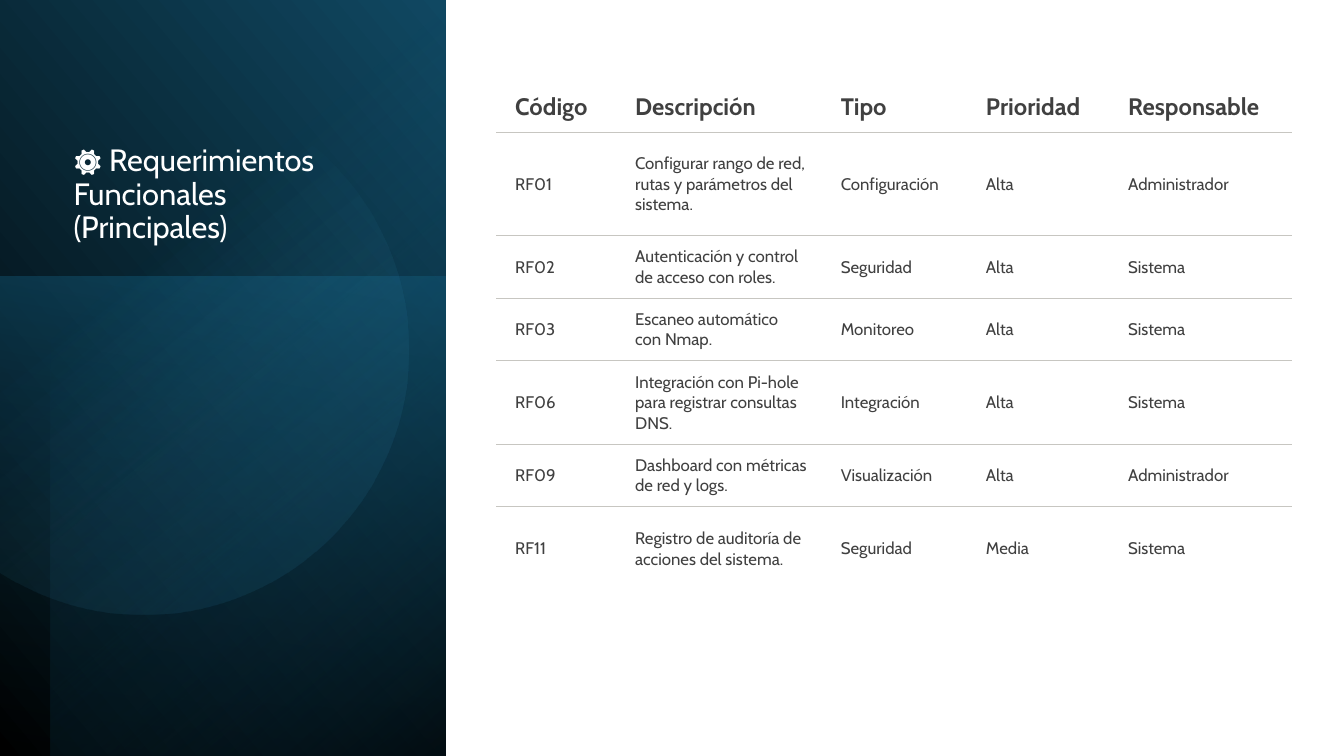
from math import atan2, cos, pi, radians, sin

from lxml.etree import SubElement
from pptx import Presentation
from pptx.dml.color import RGBColor
from pptx.enum.shapes import MSO_SHAPE
from pptx.enum.text import MSO_ANCHOR, MSO_AUTO_SIZE, PP_ALIGN
from pptx.oxml import parse_xml
from pptx.oxml.ns import nsdecls, qn
from pptx.util import Inches, Pt

FONT = "Cabin"
NO_GRID_STYLE = "{2D5ABB26-0587-4C30-8999-92F81FD0307C}"
COLUMN_WIDTHS = [1.19, 2.04, 1.44, 1.41, 1.82]
ROW_HEIGHTS = [0.5, 1.03, 0.62, 0.62, 0.83, 0.62, 0.83]
REQUIREMENTS = [
    ["Código", "Descripción", "Tipo", "Prioridad", "Responsable"],
    ["RF01", "Configurar rango de red, rutas y parámetros del sistema.",
     "Configuración", "Alta", "Administrador"],
    ["RF02", "Autenticación y control de acceso con roles.",
     "Seguridad", "Alta", "Sistema"],
    ["RF03", "Escaneo automático con Nmap.", "Monitoreo", "Alta", "Sistema"],
    ["RF06", "Integración con Pi-hole para registrar consultas DNS.",
     "Integración", "Alta", "Sistema"],
    ["RF09", "Dashboard con métricas de red y logs.",
     "Visualización", "Alta", "Administrador"],
    ["RF11", "Registro de auditoría de acciones del sistema.",
     "Seguridad", "Media", "Sistema"],
]


def color(value):
    return RGBColor.from_string(value)


def add_run(paragraph, text, size, text_color, bold=False):
    run = paragraph.add_run()
    run.text = text
    run.font.name = FONT
    run.font.size = Pt(size)
    run.font.bold = bold
    run.font.color.rgb = color(text_color)


def paint_gradient(shape, stops, angle):
    shape.shadow.inherit = False
    shape.line.fill.background()
    shape.fill.background()
    gradient = parse_xml(f'<a:gradFill {nsdecls("a")} rotWithShape="1"/>')
    stop_list = SubElement(gradient, qn("a:gsLst"))
    for position, stop_color, opacity in stops:
        stop = SubElement(stop_list, qn("a:gs"), pos=str(position * 1000))
        fill = SubElement(stop, qn("a:srgbClr"), val=str(color(stop_color)))
        SubElement(fill, qn("a:alpha"), val=str(opacity * 1000))
    SubElement(gradient, qn("a:lin"), ang=str(angle * 60000), scaled="0")
    properties = shape._element.spPr
    properties.replace(properties.find(qn("a:noFill")), gradient)


def add_panel(slide, box, rotation, stops, angle, flipped=False):
    panel = slide.shapes.add_shape(MSO_SHAPE.RECTANGLE, *map(Inches, box))
    panel.rotation = rotation
    if flipped:
        panel._element.spPr.xfrm.set("flipH", "1")
    paint_gradient(panel, stops, angle)


def add_cut_circle(slide, center, radius, pivot, rotation, stops, angle):
    center_x, center_y = center
    half_chord = (radius ** 2 - center_x ** 2) ** 0.5
    cut = atan2(half_chord, -center_x)
    turn = radians(-rotation)
    steps = 120
    points = []
    for step in range(steps + 1):
        theta = -cut + 2 * cut * step / steps
        x = center_x + radius * cos(theta) - pivot[0]
        y = center_y + radius * sin(theta) - pivot[1]
        points.append((Inches(pivot[0] + x * cos(turn) - y * sin(turn)),
                       Inches(pivot[1] + x * sin(turn) + y * cos(turn))))
    builder = slide.shapes.build_freeform(*points[0])
    builder.add_line_segments(points[1:], close=True)
    circle = builder.convert_to_shape()
    circle.rotation = rotation
    paint_gradient(circle, stops, angle)


def place_title(slide, text):
    title = slide.shapes.title
    title.left, title.top, title.width, title.height = map(
        Inches, (0.63, 1.39, 3.15, 3.36))
    frame = title.text_frame
    frame.word_wrap = True
    frame.auto_size = MSO_AUTO_SIZE.NONE
    frame.vertical_anchor = MSO_ANCHOR.TOP
    paragraph = frame.paragraphs[0]
    paragraph.alignment = PP_ALIGN.LEFT
    paragraph.line_spacing = 0.9
    add_run(paragraph, text, 22, "FFFFFF")
    slide.shapes._spTree.append(title._element)


def add_bottom_border(cell):
    border = parse_xml(
        f'<a:lnB {nsdecls("a")} w="{Pt(0.75)}"><a:solidFill>'
        '<a:srgbClr val="C7C6C1"/></a:solidFill></a:lnB>')
    cell._tc.get_or_add_tcPr().insert(0, border)


def fill_cell(cell, text, header):
    cell.fill.background()
    cell.vertical_anchor = MSO_ANCHOR.MIDDLE
    cell.margin_left = Inches(0.19)
    cell.margin_right = Inches(0.14)
    cell.margin_top = cell.margin_bottom = Inches(0.09)
    add_run(cell.text_frame.paragraphs[0], text, 17 if header else 12,
            "404040", header)


def add_requirements_table(slide):
    frame = slide.shapes.add_table(
        len(ROW_HEIGHTS), len(COLUMN_WIDTHS), Inches(4.92), Inches(0.81),
        Inches(sum(COLUMN_WIDTHS)), Inches(sum(ROW_HEIGHTS)))
    table = frame.table
    table.horz_banding = False
    table._tbl.tblPr.find(qn("a:tableStyleId")).text = NO_GRID_STYLE
    for column, width in zip(table.columns, COLUMN_WIDTHS):
        column.width = Inches(width)
    last = len(ROW_HEIGHTS) - 1
    for index, (row, texts) in enumerate(zip(table.rows, REQUIREMENTS)):
        row.height = Inches(ROW_HEIGHTS[index])
        for cell, text in zip(row.cells, texts):
            fill_cell(cell, text, index == 0)
            if index < last:
                add_bottom_border(cell)


def main():
    presentation = Presentation()
    presentation.slide_width = Inches(13.33)
    presentation.slide_height = Inches(7.5)
    slide = presentation.slides.add_slide(presentation.slide_layouts[5])
    slide.background.fill.solid()
    slide.background.fill.fore_color.rgb = color("FFFFFF")
    add_panel(slide, (-1.55, 1.55, 7.52, 4.42), 90,
              [(0, "000000", 100), (100, "104862", 100)], 310, True)
    add_panel(slide, (-0.17, 2.91, 4.76, 4.42), 270,
              [(0, "156082", 50), (100, "0B3041", 0)], 190)
    add_panel(slide, (-1.29, 1.79, 7.5, 3.92), 270,
              [(0, "000000", 59), (69, "156082", 0)], 220, True)
    add_cut_circle(slide, (1.43, 3.47), 2.63, (1.81, 3.55), 101.6,
                   [(39, "46B1E1", 0), (100, "104862", 26)], 310)
    place_title(slide, "⚙️ Requerimientos Funcionales (Principales)")
    add_requirements_table(slide)
    presentation.save("out.pptx")


if __name__ == "__main__":
    main()
